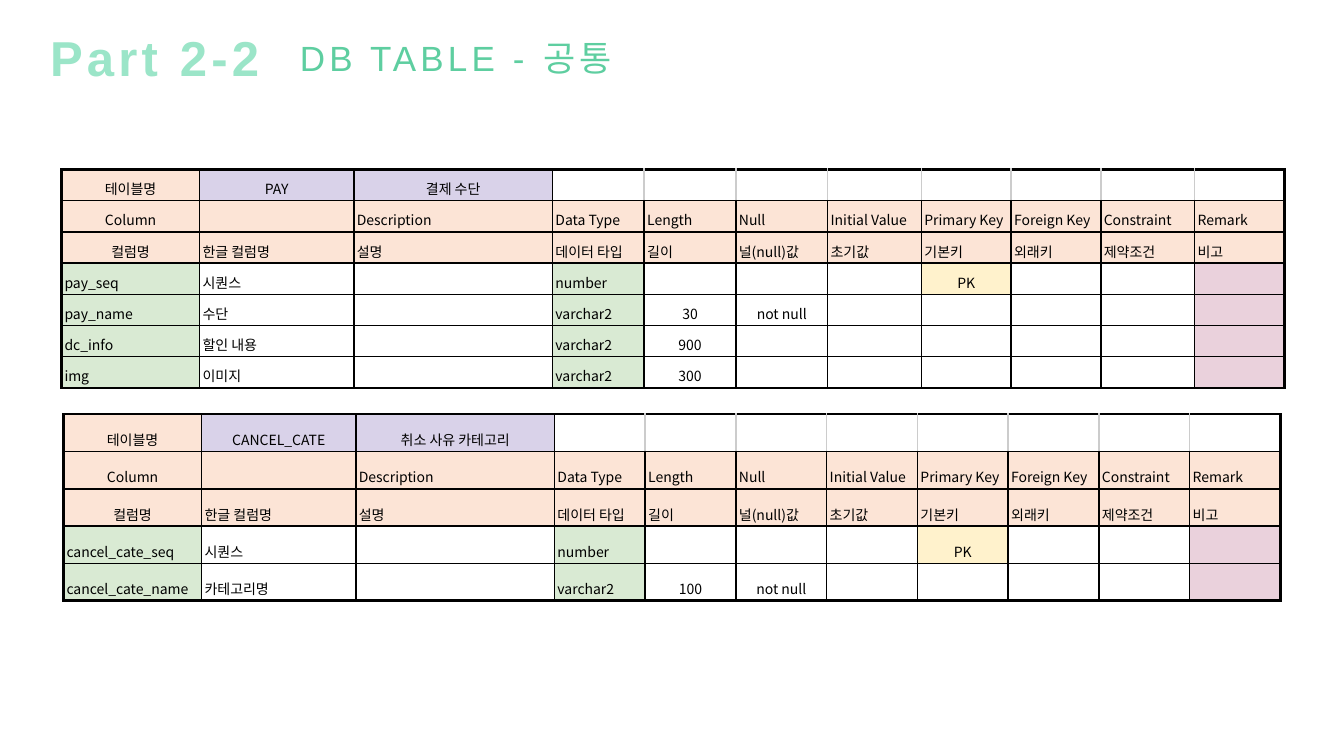
from dataclasses import dataclass

from lxml.etree import SubElement
from pptx import Presentation
from pptx.dml.color import RGBColor
from pptx.enum.text import MSO_ANCHOR, MSO_AUTO_SIZE, PP_ALIGN
from pptx.oxml.ns import qn
from pptx.util import Inches, Pt

BLACK = RGBColor(0x00, 0x00, 0x00)
GRAY = RGBColor(0xCC, 0xCC, 0xCC)
WHITE = RGBColor(0xFF, 0xFF, 0xFF)
PEACH = RGBColor(0xFC, 0xE4, 0xD6)
LILAC = RGBColor(0xD9, 0xD2, 0xE9)
GREEN = RGBColor(0xD9, 0xEA, 0xD3)
CREAM = RGBColor(0xFF, 0xF2, 0xCC)
PINK = RGBColor(0xEA, 0xD1, 0xDC)
MINT = RGBColor(0x9B, 0xE5, 0xC8)
JADE = RGBColor(0x5E, 0xCE, 0xA0)

KOREAN = "Noto Sans CJK KR"
HEADS = [
    ["Column", "", "Description", "Data Type", "Length", "Null", "Initial Value",
     "Primary Key", "Foreign Key", "Constraint", "Remark"],
    ["컬럼명", "한글 컬럼명", "설명", "데이터 타입", "길이", "널(null)값", "초기값",
     "기본키", "외래키", "제약조건", "비고"],
]
COLS = len(HEADS[0])
TYPE, LAST = 3, COLS - 1
FIRST = 1 + len(HEADS)  # first row that holds a field


@dataclass
class Field:
    name: str
    label: str
    kind: str
    length: str = ""
    null: str = ""
    key: str = ""

    def cells(self) -> list[str]:
        return [self.name, self.label, "", self.kind, self.length, self.null,
                "", self.key, "", "", ""]


@dataclass
class Sheet:
    name: str
    label: str
    left: float
    top: float
    height: float
    widths: list[float]
    fields: list[Field]

    def grid(self) -> list[list[str]]:
        top = ["테이블명", self.name, self.label] + [""] * (COLS - 3)
        return [top, *HEADS, *(field.cells() for field in self.fields)]


@dataclass
class Head:
    text: str
    left: float
    top: float
    width: float
    height: float
    size: int
    color: RGBColor
    bold: bool


SHEETS = [
    Sheet("PAY", "결제 수단", 0.61, 1.68, 0.31,
          [1.37, 1.53, 1.97, 0.91, 0.91, 0.91, 0.93, 0.89, 0.89, 0.93, 0.89],
          [Field("pay_seq", "시퀀스", "number", key="PK"),
           Field("pay_name", "수단", "varchar2", "30", "not null"),
           Field("dc_info", "할인 내용", "varchar2", "900"),
           Field("img", "이미지", "varchar2", "300")]),
    Sheet("CANCEL_CATE", "취소 사유 카테고리", 0.63, 4.11, 0.37,
          [1.37, 1.53, 1.97] + [0.9] * 8,
          [Field("cancel_cate_seq", "시퀀스", "number", key="PK"),
           Field("cancel_cate_name", "카테고리명", "varchar2", "100", "not null")]),
]
PART = Head("Part 2-2", 0, 0.22, 3.07, 0.68, 35, MINT, True)
TOPIC = Head("DB TABLE - 공통", 2.56, 0.31, 3.92, 0.51, 25, JADE, False)


def shade(row: int, col: int, text: str) -> RGBColor:
    """Give the fill that a cell's place and wording call for."""
    if row == 0:
        return PEACH if col == 0 else LILAC if col < TYPE else WHITE
    if row < FIRST:
        return PEACH
    if col in (0, TYPE):
        return GREEN
    if col == LAST:
        return PINK
    return CREAM if text == "PK" else WHITE


def edge(cell, side: str, color: RGBColor, width: float) -> None:
    line = SubElement(cell._tc.get_or_add_tcPr(), qn(f"a:ln{side}"), w=str(Pt(width)))
    SubElement(SubElement(line, qn("a:solidFill")), qn("a:srgbClr"), val=str(color))


def frame(cell, row: int, col: int, end: int) -> None:
    """Draw thick outer edges, thin inner ones, and gray gaps in the top row."""
    bare = row == 0 and col >= TYPE
    sides = {
        "L": (col == 0, bare and col > TYPE),
        "R": (col == LAST, bare and col < LAST),
        "T": (row == 0, False),
        "B": (row == end, False),
    }
    for side, (outer, pale) in sides.items():
        edge(cell, side, GRAY if pale else BLACK, 2 if outer else 1.2)


def write(cell, text: str, center: bool) -> None:
    cell.margin_left = cell.margin_right = Inches(0.03)
    cell.margin_top = cell.margin_bottom = Inches(0.02)
    cell.vertical_anchor = MSO_ANCHOR.BOTTOM
    para = cell.text_frame.paragraphs[0]
    para.text = text
    para.line_spacing = 1.15
    para.alignment = PP_ALIGN.CENTER if center else PP_ALIGN.LEFT
    for run in para.runs:
        run.font.size = Pt(10)
        run.font.name = KOREAN
        run.font.color.rgb = BLACK
        SubElement(run.font._element, qn("a:ea"), typeface=KOREAN)
    if not text:
        SubElement(para._p, qn("a:endParaRPr"), sz="1000")


def draw(slide, sheet: Sheet) -> None:
    grid = sheet.grid()
    table = slide.shapes.add_table(
        len(grid), COLS, Inches(sheet.left), Inches(sheet.top),
        Inches(sum(sheet.widths)), Inches(sheet.height * len(grid))).table
    table.first_row = table.horz_banding = False
    for col, width in zip(table.columns, sheet.widths):
        col.width = Inches(width)
    for row, texts in enumerate(grid):
        table.rows[row].height = Inches(sheet.height)
        for col, text in enumerate(texts):
            cell = table.cell(row, col)
            middle = TYPE < col < LAST if row >= FIRST else row == 0 or col == 0
            write(cell, text, middle)
            frame(cell, row, col, len(grid) - 1)
            cell.fill.solid()
            cell.fill.fore_color.rgb = shade(row, col, text)


def label(shape, head: Head) -> None:
    shape.left, shape.top = Inches(head.left), Inches(head.top)
    shape.width, shape.height = Inches(head.width), Inches(head.height)
    body = shape.text_frame
    body.text = head.text
    body.word_wrap = True
    body.auto_size = MSO_AUTO_SIZE.NONE
    body.vertical_anchor = MSO_ANCHOR.TOP
    para = body.paragraphs[0]
    para.alignment = PP_ALIGN.CENTER
    font = para.runs[0].font
    font.size, font.bold, font.name = Pt(head.size), head.bold, "Arial"
    font.color.rgb = head.color
    font._element.set("spc", "300")
    SubElement(font._element, qn("a:ea"), typeface=KOREAN)


def main() -> None:
    deck = Presentation()
    deck.slide_width, deck.slide_height = Inches(13.33), Inches(7.5)
    slide = deck.slides.add_slide(deck.slide_layouts[5])
    label(slide.shapes.title, PART)
    for sheet in SHEETS:
        draw(slide, sheet)
    label(slide.shapes.add_textbox(0, 0, 0, 0), TOPIC)
    deck.save("out.pptx")


if __name__ == "__main__":
    main()
